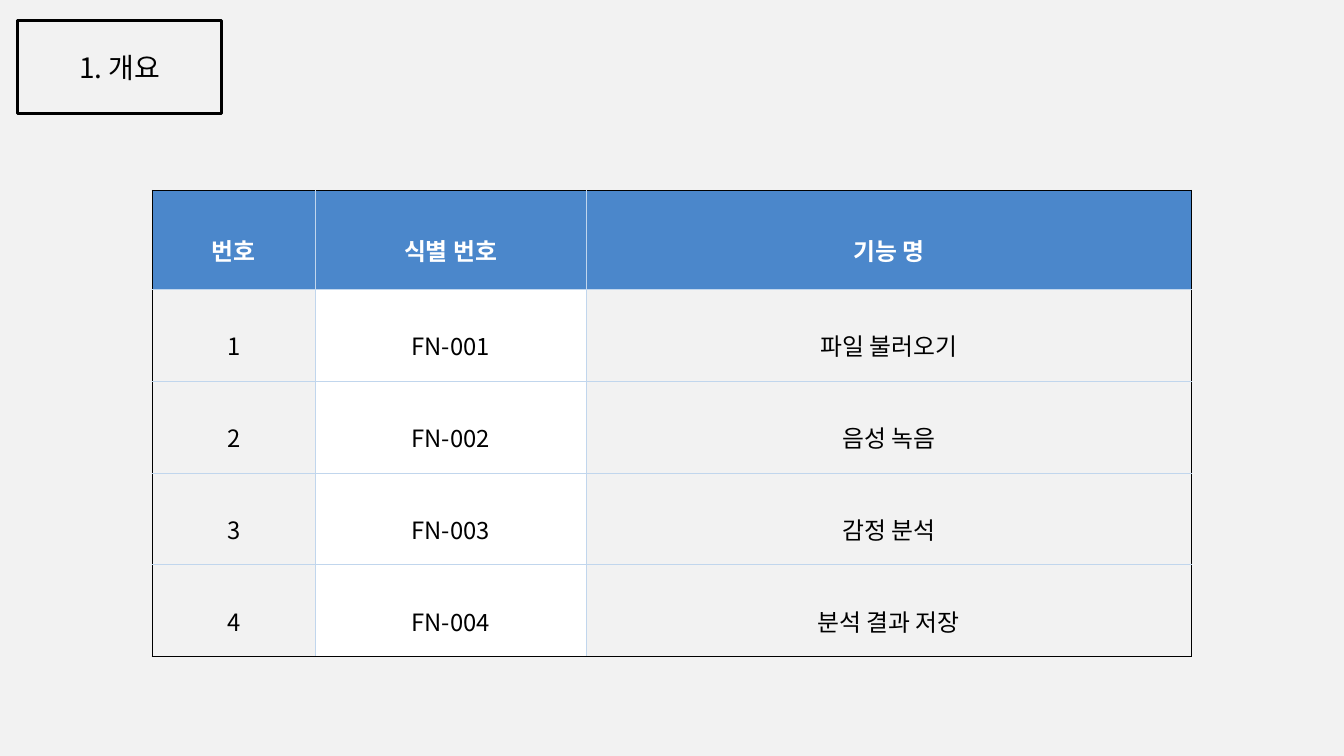
from lxml import etree
from pptx import Presentation
from pptx import util as u
from pptx.dml.color import RGBColor
from pptx.enum import shapes, text
from pptx.oxml import ns

COLORS = {
    "background": "F2F2F2",
    "ink": "000000",
    "header": "4B87CB",
    "white": "FFFFFF",
    "grid": "C1D6ED",
}
FONT = "Noto Sans CJK KR"


def rgb(name):
    return RGBColor.from_string(COLORS[name])


def line_xml(tag, width, color, alpha=None):
    ln = etree.Element(ns.qn(tag), w=str(u.Pt(width)))
    fill = etree.SubElement(ln, ns.qn("a:solidFill"))
    clr = etree.SubElement(fill, ns.qn("a:srgbClr"), val=COLORS[color])
    if alpha is not None:
        etree.SubElement(clr, ns.qn("a:alpha"), val=str(alpha * 1000))
    return ln


class SlideBuilder:
    def __init__(self, prs):
        self.slide = prs.slides.add_slide(prs.slide_layouts[5])
        fill = self.slide.background.fill
        fill.solid()
        fill.fore_color.rgb = rgb("background")

    def run(self, p, content, size, color="ink", bold=False):
        p.alignment = text.PP_ALIGN.CENTER
        r = p.add_run()
        r.text = content
        r.font.size = u.Pt(size)
        r.font.bold = bold
        r.font.name = FONT
        r.font.color.rgb = rgb(color)
        rpr = r.font._element
        latin = rpr.find(ns.qn("a:latin"))
        latin.addnext(etree.Element(ns.qn("a:ea"), typeface=FONT))
        return rpr

    def title(self, content, left, top, width, height):
        sp = self.slide.shapes.title
        sp.left, sp.top = u.Inches(left), u.Inches(top)
        sp.width, sp.height = u.Inches(width), u.Inches(height)
        tf = sp.text_frame
        tf.word_wrap = True
        tf.auto_size = text.MSO_AUTO_SIZE.SHAPE_TO_FIT_TEXT
        tf.vertical_anchor = text.MSO_ANCHOR.TOP
        rpr = self.run(tf.paragraphs[0], content, 20)
        rpr.insert(0, line_xml("a:ln", 0.75, "ink", alpha=30))

    def frame(self, left, top, width, height):
        sp = self.slide.shapes.add_shape(
            shapes.MSO_SHAPE.RECTANGLE,
            u.Inches(left), u.Inches(top), u.Inches(width), u.Inches(height))
        sp.shadow.inherit = False
        sp.fill.background()
        sp.line.color.rgb = rgb("ink")
        sp.line.width = u.Pt(2)

    def cell(self, cell, content, fill, outer, header):
        cell.margin_left = cell.margin_right = u.Inches(0.07)
        cell.margin_top = cell.margin_bottom = u.Inches(0.02)
        cell.vertical_anchor = text.MSO_ANCHOR.MIDDLE
        if fill:
            cell.fill.solid()
            cell.fill.fore_color.rgb = rgb(fill)
        else:
            cell.fill.background()
        p = cell.text_frame.paragraphs[0]
        p.line_spacing = 1.6
        self.run(p, content, 17, "white" if header else "ink", header)
        tc_pr = cell._tc.get_or_add_tcPr()
        for i, side in enumerate("LRTB"):
            width, color = (1, "ink") if side in outer else (0.28, "grid")
            tc_pr.insert(i, line_xml(f"a:ln{side}", width, color))

    def table(self, rows, left, top, widths, heights):
        last_row, last_col = len(rows) - 1, len(widths) - 1
        table = self.slide.shapes.add_table(
            len(rows), len(widths), u.Inches(left), u.Inches(top),
            u.Inches(sum(widths)), u.Inches(sum(heights))).table
        table.first_row = table.horz_banding = False
        for column, width in zip(table.columns, widths):
            column.width = u.Inches(width)
        for r, (values, height) in enumerate(zip(rows, heights)):
            table.rows[r].height = u.Inches(height)
            for c, value in enumerate(values):
                edges = {"L": c == 0, "R": c == last_col, "T": r == 0, "B": r == last_row}
                outer = [side for side, on_edge in edges.items() if on_edge]
                fill = "header" if r == 0 else "white" if c == 1 else None
                self.cell(table.cell(r, c), value, fill, outer, r == 0)


def main():
    prs = Presentation()
    prs.slide_width, prs.slide_height = u.Inches(13.33), u.Inches(7.5)
    s = SlideBuilder(prs)
    s.title("1. 개요", 0.23, 0.45, 1.92, 0.44)
    s.frame(0.17, 0.2, 2.03, 0.93)
    functions = ["파일 불러오기", "음성 녹음", "감정 분석", "분석 결과 저장"]
    rows = [("번호", "식별 번호", "기능 명")]
    rows += [(str(n), f"FN-{n:03}", name) for n, name in enumerate(functions, 1)]
    s.table(rows, 1.51, 1.89, [1.62, 2.68, 6.01], [0.98] + [0.91] * len(functions))
    prs.save("out.pptx")


if __name__ == "__main__":
    main()
